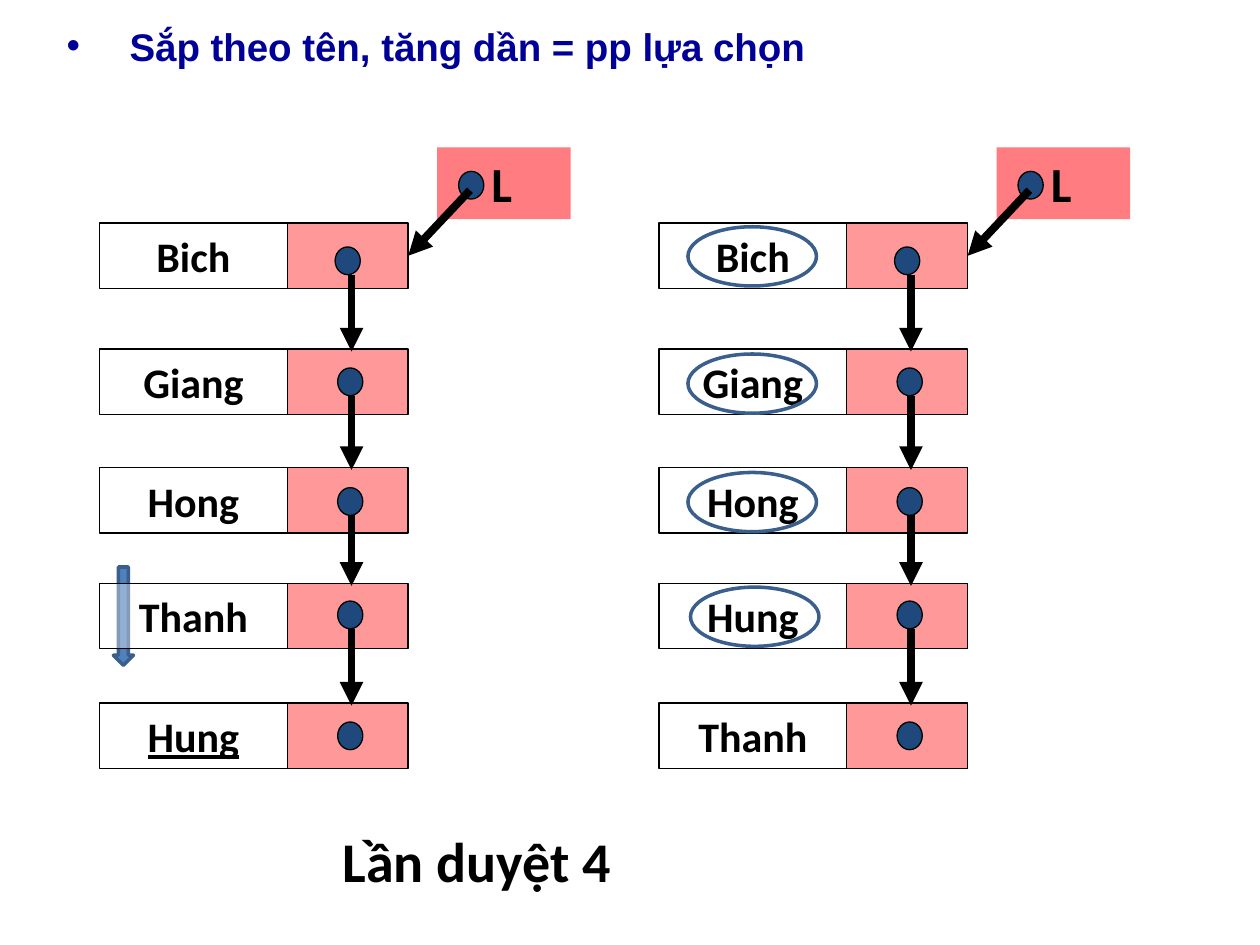
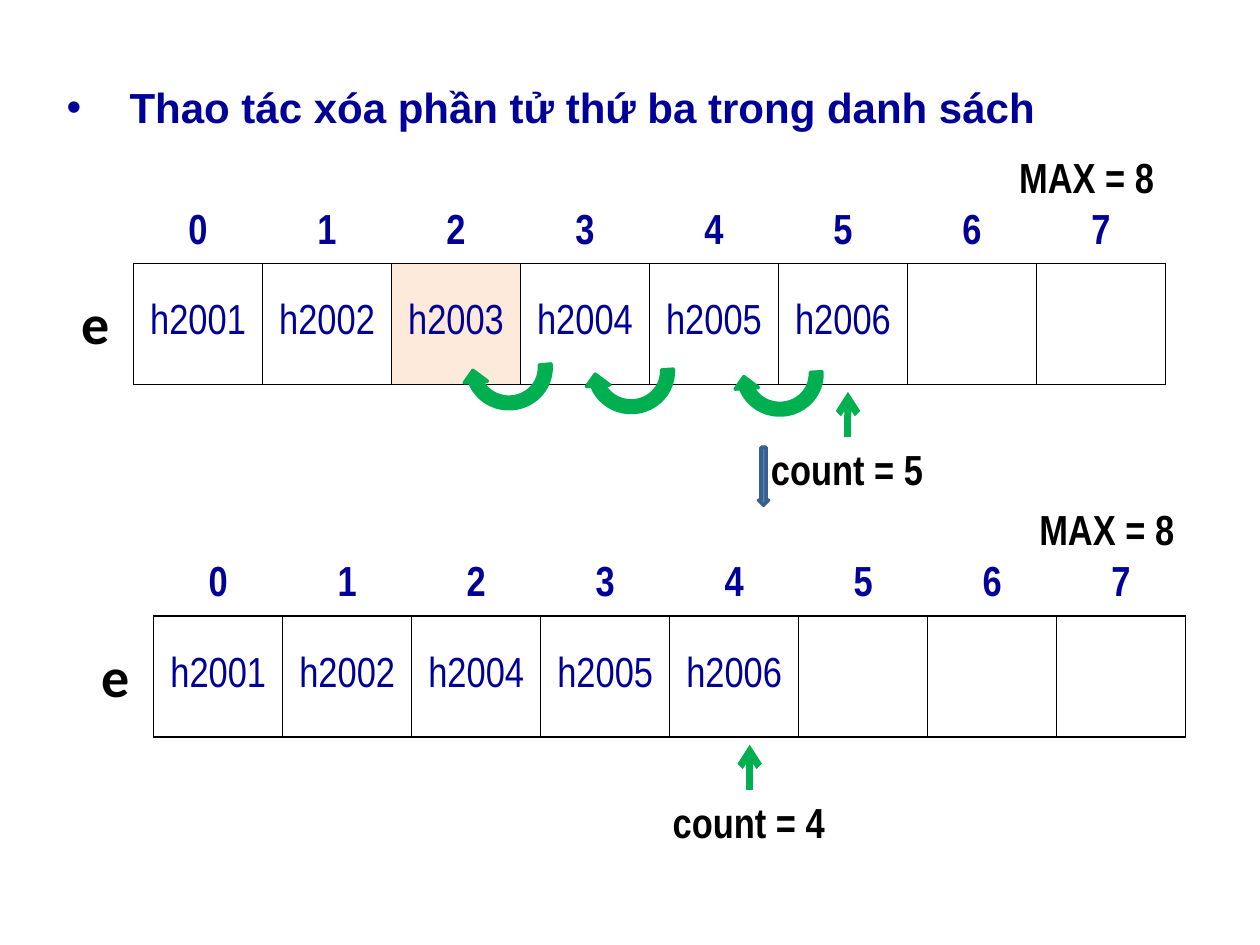
"""Build two slides on linked-list sorting and array deletion."""
from dataclasses import dataclass

from pptx import Presentation
from pptx.dml.color import RGBColor
from pptx.enum.shapes import MSO_CONNECTOR, MSO_SHAPE
from pptx.enum.text import MSO_ANCHOR, PP_ALIGN
from pptx.oxml.ns import qn
from pptx.util import Inches, Pt
from lxml import etree

RECTANGLE = MSO_SHAPE.RECTANGLE
OVAL = MSO_SHAPE.OVAL
DOWN_ARROW = MSO_SHAPE.DOWN_ARROW
CIRCULAR_ARROW = MSO_SHAPE.CIRCULAR_ARROW
STRAIGHT = MSO_CONNECTOR.STRAIGHT
MIDDLE = MSO_ANCHOR.MIDDLE
TOP = MSO_ANCHOR.TOP
LEFT = PP_ALIGN.LEFT
CENTER = PP_ALIGN.CENTER
JUSTIFY = PP_ALIGN.JUSTIFY
RIGHT_SIDE = 3
BLANK_LAYOUT = 6


@dataclass(frozen=True)
class Theme:
    black: str = "000000"
    white: str = "FFFFFF"
    navy: str = "000099"
    red: str = "FF0000"
    pink: str = "FF7C80"
    peach: str = "FDEADA"
    dot: str = "1F497D"
    blue: str = "4F81BD"
    outline: str = "3A5F8C"
    green: str = "00B050"
    heading: str = "Arial"
    body: str = "Calibri"
    narrow: str = "Arial Narrow"
    small: int = 22
    normal: int = 24
    head: int = 28
    large: int = 32


class Deck:
    """Hold the theme and current slide, and draw each kind of element."""

    def __init__(self, theme):
        self.theme = theme
        self.presentation = Presentation()
        self.presentation.slide_width = Inches(10)
        self.presentation.slide_height = Inches(7.5)
        self.slide = None
        self.canvas = None

    def new_slide(self):
        layout = self.presentation.slide_layouts[BLANK_LAYOUT]
        self.slide = self.presentation.slides.add_slide(layout)
        self.end_group()

    def start_group(self):
        self.canvas = self.slide.shapes.add_group_shape().shapes

    def end_group(self):
        self.canvas = self.slide.shapes

    def add_words(self, frame, text, align=LEFT, color=None, **font):
        paragraph = frame.paragraphs[0]
        paragraph.alignment = align
        run = paragraph.add_run()
        run.text = text
        values = {"name": self.theme.body, "size": self.theme.normal, "bold": True} | font
        values["size"] = Pt(values["size"])
        for name, value in values.items():
            setattr(run.font, name, value)
        run.font.color.rgb = RGBColor.from_string(color or self.theme.black)
        return paragraph

    def text(self, left, top, width, height, text, **style):
        box = self.canvas.add_textbox(*map(Inches, (left, top, width, height)))
        for name, value in {"word_wrap": True, "vertical_anchor": TOP}.items():
            setattr(box.text_frame, name, value)
        return self.add_words(box.text_frame, text, **style)

    def title(self, top, text, size):
        theme = self.theme
        paragraph = self.text(0.43, top, 9.21, 0.6, text, align=JUSTIFY,
                              name=theme.heading, size=size, color=theme.navy)
        properties = paragraph._p.get_or_add_pPr()
        properties.set("marL", str(Inches(0.5)))
        properties.set("indent", str(-Inches(0.5)))
        color = etree.SubElement(properties, qn("a:buClr"))
        etree.SubElement(color, qn("a:srgbClr"), val=theme.navy)
        etree.SubElement(properties, qn("a:buFont"), typeface=theme.heading)
        etree.SubElement(properties, qn("a:buChar"), char="•")

    def shape(self, kind, left, top, width, height, fill=None, alpha=None,
              line=None, weight=0.75, rotation=0):
        shape = self.canvas.add_shape(kind, *map(Inches, (left, top, width, height)))
        shape.shadow.inherit = False
        shape.rotation = rotation
        if fill:
            shape.fill.solid()
            shape.fill.fore_color.rgb = RGBColor.from_string(fill)
        else:
            shape.fill.background()
        if alpha:
            color = shape.element.spPr.find(qn("a:solidFill"))[0]
            etree.SubElement(color, qn("a:alpha"), val=str(alpha * 1000))
        if line:
            shape.line.color.rgb = RGBColor.from_string(line)
            shape.line.width = Pt(weight)
        else:
            shape.line.fill.background()
        shape.text_frame.vertical_anchor = MIDDLE
        return shape

    def dot(self, left, top):
        self.shape(OVAL, left, top, 0.2, 0.22, self.theme.dot, line=self.theme.black)

    def arrow(self, start, end, color, weight, head, target=None):
        connector = self.canvas.add_connector(STRAIGHT, *map(Inches, start + end))
        connector.line.color.rgb = RGBColor.from_string(color)
        connector.line.width = Pt(weight)
        if target is not None:
            connector.end_connect(target, RIGHT_SIDE)
        line = connector.element.spPr.find(qn("a:ln"))
        etree.SubElement(line, qn("a:tailEnd"), type=head)
        etree.SubElement(connector.element.spPr, qn("a:effectLst"))

    def border(self, cell, sides):
        properties = cell._tc.get_or_add_tcPr()
        for index, side in enumerate(sides):
            line = etree.Element(qn(f"a:ln{side}"), w=str(Pt(1)))
            fill = etree.SubElement(line, qn("a:solidFill"))
            etree.SubElement(fill, qn("a:srgbClr"), val=self.theme.black)
            properties.insert(index, line)

    def table(self, left, top, rows, heights, column_width, marked=None):
        theme = self.theme
        columns = len(rows[0])
        frame = self.canvas.add_table(
            len(rows), columns, Inches(left), Inches(top),
            Inches(column_width * columns), Inches(sum(heights)))
        table = frame.table
        for name in ("first_row", "horz_banding"):
            setattr(table, name, False)
        for column in table.columns:
            column.width = Inches(column_width)
        for row_index, values in enumerate(rows):
            table.rows[row_index].height = Inches(heights[row_index])
            is_header = row_index == 0
            for column_index, value in enumerate(values):
                cell = table.cell(row_index, column_index)
                for name, setting in {"vertical_anchor": MIDDLE,
                                      "margin_left": 0, "margin_right": 0,
                                      "margin_top": Inches(0.04),
                                      "margin_bottom": Inches(0.04)}.items():
                    setattr(cell, name, setting)
                is_marked = (row_index, column_index) == marked
                cell.fill.solid()
                cell.fill.fore_color.rgb = RGBColor.from_string(
                    theme.peach if is_marked else theme.white)
                self.border(cell, "B" if is_header else "LRTB")
                if value:
                    self.add_words(cell.text_frame, value, align=CENTER, color=theme.navy,
                                   name=theme.narrow, bold=is_header)

    def linked_list(self, left, names, underlined=None):
        theme = self.theme
        self.start_group()
        links = []
        for name, top in zip(names, NODE_TOPS):
            box = self.shape(RECTANGLE, left, top, 1.49, 0.52, theme.white, 38, theme.black)
            self.add_words(box.text_frame, name, align=CENTER, underline=name == underlined)
            links.append(self.shape(RECTANGLE, left + 1.49, top, 0.96, 0.52,
                                    theme.red, 40, theme.black))
        for top in DOT_TOPS:
            self.dot(left + 1.89 - (0.02 if top == DOT_TOPS[0] else 0), top)
        for dot_top, next_top in zip(DOT_TOPS, NODE_TOPS[1:]):
            self.arrow((left + 2, dot_top + 0.22), (left + 2, next_top + 0.02),
                       theme.black, 4.5, "triangle")
        head = self.shape(RECTANGLE, left + 2.68, 1.17, 1.06, 0.57, theme.pink)
        head.text_frame.margin_left = Inches(0.43)
        self.add_words(head.text_frame, "L", size=theme.head)
        self.dot(left + 2.85, 1.36)
        self.arrow((left + 2.94, 1.51), (left + 2.45, 2.03),
                   theme.black, 4.5, "triangle", links[0])
        self.end_group()

    def array(self, left, top, codes, count, count_left, marked=None):
        theme = self.theme
        header = [str(index) for index in range(ARRAY_SIZE)]
        values = codes + [""] * (ARRAY_SIZE - len(codes))
        self.table(left, top, [header, values], (0.47, 0.96), 8.19 / ARRAY_SIZE, marked)
        self.text(left - 0.51, top + 0.63, 0.35, 0.64, "e", size=theme.large)
        self.text(left + 6.93, top - 0.46, 1.42, 0.5, f"MAX = {ARRAY_SIZE}", name=theme.narrow)
        self.text(count_left, top + 1.86, 1.42, 0.5, f"count = {count}", name=theme.narrow)
        center = count_left + 0.71
        self.arrow((center, top + 1.86), (center, top + 1.5), theme.green, 4, "arrow")


NODE_TOPS = (1.77, 2.77, 3.71, 4.63, 5.58)
DOT_TOPS = (1.96, 2.92, 3.87, 4.77, 5.73)
SORTED_RINGS = ((5.46, 1.8), (5.46, 2.81), (5.46, 3.75), (5.48, 4.66))
SHIFT_ARROWS = ((3.66, 2.55, 107), (4.63, 2.58, 108.17), (5.81, 2.6, 108.17))
ARRAY_SIZE = 8


def add_sort_slide(deck):
    theme = deck.theme
    deck.new_slide()
    deck.title(0.13, "Sắp theo tên, tăng dần = pp lựa chọn", theme.small)
    deck.linked_list(5.23, ("Bich", "Giang", "Hong", "Hung", "Thanh"))
    for left, top in SORTED_RINGS:
        deck.shape(OVAL, left, top, 1.02, 0.47, line=theme.outline, weight=2)
    deck.shape(DOWN_ARROW, 0.9, 4.5, 0.16, 0.78, theme.blue, line=theme.outline, weight=2)
    deck.linked_list(0.79, ("Bich", "Giang", "Hong", "Thanh", "Hung"), "Hung")
    deck.text(2.62, 6.51, 4.58, 0.64, "Lần duyệt 4", size=theme.large)


def add_delete_slide(deck):
    theme = deck.theme
    deck.new_slide()
    deck.title(0.6, "Thao tác xóa phần tử thứ ba trong danh sách", theme.normal)
    codes = [f"h200{number}" for number in range(1, 7)]
    deck.array(1.06, 1.61, codes, 5, 6.02, marked=(1, 2))
    for left, top, start_angle in SHIFT_ARROWS:
        arrow = deck.shape(CIRCULAR_ARROW, left, top, 0.76, 0.74, theme.green,
                           line=theme.green, weight=2, rotation=176.2)
        arrow.adjustments[3] = start_angle
    deck.shape(DOWN_ARROW, 6.02, 3.55, 0.08, 0.46, theme.blue, line=theme.outline, weight=2)
    deck.array(1.22, 4.41, codes[:2] + codes[3:], 4, 5.24)


def main():
    deck = Deck(Theme())
    add_sort_slide(deck)
    add_delete_slide(deck)
    deck.presentation.save("out.pptx")


if __name__ == "__main__":
    main()
